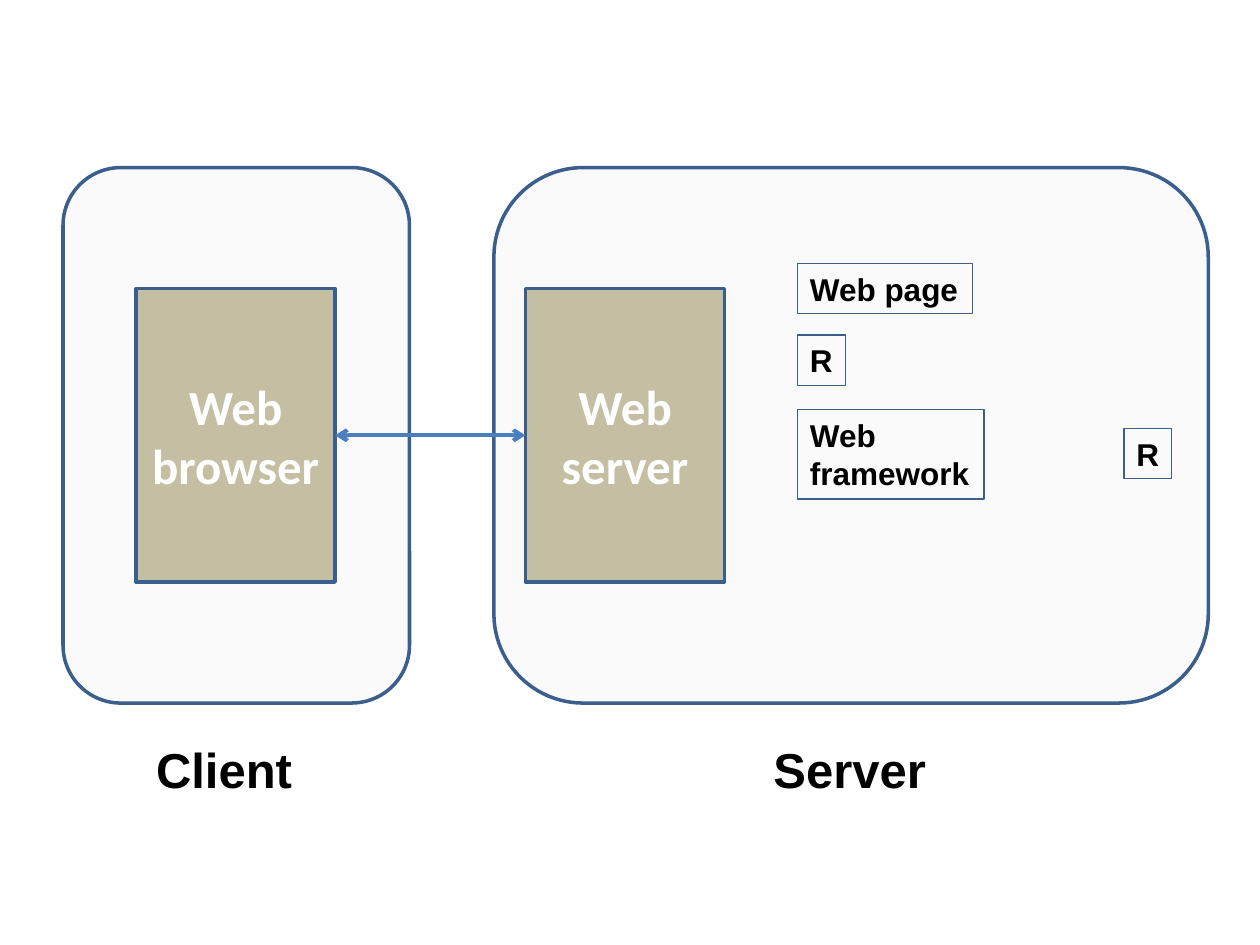
import pptx
import pptx.dml.color
import pptx.enum.shapes
import pptx.enum.text
import pptx.oxml.ns
import pptx.util
from lxml import etree
from pptx.dml.color import RGBColor
from pptx.util import Inches

BLACK = RGBColor(0x00, 0x00, 0x00)
WHITE = RGBColor(0xFF, 0xFF, 0xFF)
PALE_GREY = RGBColor(0xF2, 0xF2, 0xF2)
TAN = RGBColor(0x94, 0x8A, 0x54)
OUTLINE = RGBColor(0x3A, 0x5F, 0x8C)
ARROW = RGBColor(0x4B, 0x7E, 0xBC)
SHAPES = pptx.enum.shapes.MSO_SHAPE
qn = pptx.oxml.ns.qn


class Diagram:
    """Holds the style and the page being drawn."""

    panel_top, panel_height = 1.33, 4.25
    block_top, block_width, block_height = 2.29, 1.58, 2.33

    def __init__(self, page):
        self.page = page

    def set_text(self, frame, lines, size, font, color, align):
        for index, line in enumerate(lines):
            para = frame.paragraphs[0] if index == 0 else frame.add_paragraph()
            para.text = line
            para.alignment = align
            para.font.size = pptx.util.Pt(size)
            para.font.name = font
            para.font.bold = True
            para.font.color.rgb = color

    def outline(self, shape, width):
        shape.line.color.rgb = OUTLINE
        shape.line.width = pptx.util.Pt(width)

    def filled(self, kind, left, top, width, height, color, opacity):
        shape = self.page.shapes.add_shape(
            kind, Inches(left), Inches(top), Inches(width), Inches(height))
        shape.shadow.inherit = False
        shape.fill.solid()
        shape.fill.fore_color.rgb = color
        tint = shape.element.spPr.find(".//" + qn("a:srgbClr"))
        etree.SubElement(tint, qn("a:alpha"), val=str(opacity * 1000))
        self.outline(shape, 2)
        return shape

    def panel(self, left, width):
        return self.filled(SHAPES.ROUNDED_RECTANGLE, left, self.panel_top,
                           width, self.panel_height, PALE_GREY, 37)

    def block(self, left, text):
        shape = self.filled(SHAPES.RECTANGLE, left, self.block_top,
                            self.block_width, self.block_height, TAN, 53)
        frame = shape.text_frame
        frame.word_wrap = True
        frame.vertical_anchor = pptx.enum.text.MSO_ANCHOR.MIDDLE
        self.set_text(frame, [text], 28, "Calibri", WHITE,
                      pptx.enum.text.PP_ALIGN.CENTER)
        return shape

    def label(self, left, top, width, height, lines, size):
        box = self.page.shapes.add_textbox(
            Inches(left), Inches(top), Inches(width), Inches(height))
        box.text_frame.word_wrap = False
        box.text_frame.auto_size = pptx.enum.text.MSO_AUTO_SIZE.SHAPE_TO_FIT_TEXT
        self.set_text(box.text_frame, lines, size, "Arial", BLACK,
                      pptx.enum.text.PP_ALIGN.LEFT)
        return box

    def caption(self, left, width, text):
        return self.label(left, 5.82, width, 0.57, [text], 28)

    def tag(self, left, top, width, height, *lines):
        box = self.label(left, top, width, height, lines, 18)
        self.outline(box, 0.75)
        return box

    def double_arrow(self, start, end):
        arrow = self.page.shapes.add_connector(
            pptx.enum.shapes.MSO_CONNECTOR.STRAIGHT, 0, 0, 0, 0)
        arrow.begin_connect(start, 3)
        arrow.end_connect(end, 1)
        arrow.line.color.rgb = ARROW
        arrow.line.width = pptx.util.Pt(2.25)
        properties = arrow.element.spPr
        line = properties.find(qn("a:ln"))
        for side in ("a:headEnd", "a:tailEnd"):
            etree.SubElement(line, qn(side), type="arrow")
        etree.SubElement(properties, qn("a:effectLst"))


def main():
    deck = pptx.Presentation()
    deck.slide_width, deck.slide_height = Inches(10), Inches(7.5)
    diagram = Diagram(deck.slides.add_slide(deck.slide_layouts[6]))

    # Client side
    diagram.panel(0.5, 2.75)
    diagram.caption(1.14, 1.29, "Client")
    browser = diagram.block(1.08, "Web browser")

    # Server side
    diagram.panel(3.92, 5.67)
    diagram.caption(6.04, 1.43, "Server")
    server = diagram.block(4.17, "Web server")

    # Exchange between browser and server
    diagram.double_arrow(browser, server)

    # Parts behind the web server
    diagram.tag(6.33, 2.09, 1.39, 0.4, "Web page")
    diagram.tag(6.33, 2.66, 0.38, 0.4, "R")
    diagram.tag(6.33, 3.25, 1.48, 0.71, "Web", "framework")
    diagram.tag(8.92, 3.4, 0.38, 0.4, "R")

    deck.save("out.pptx")


if __name__ == "__main__":
    main()
